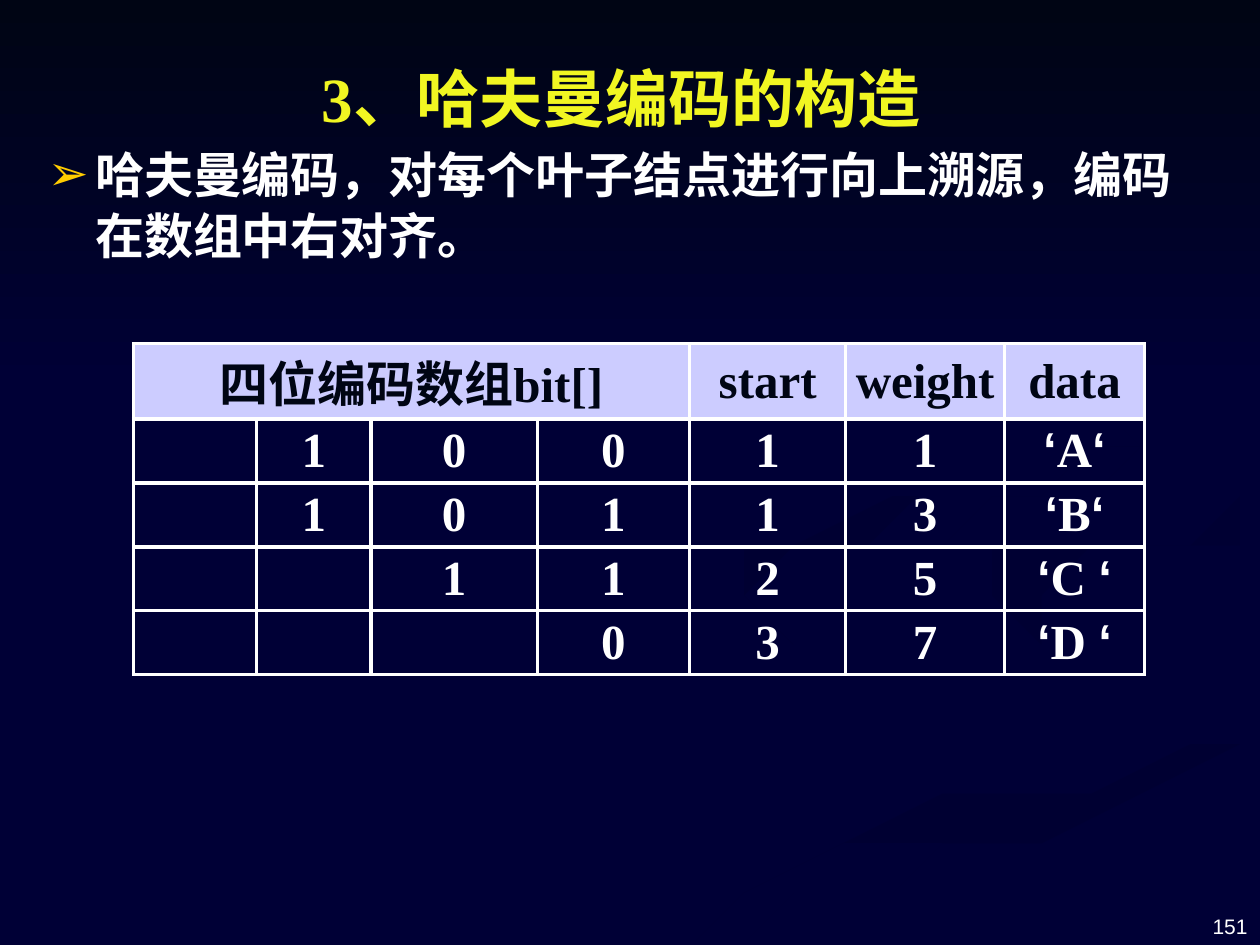
"""Build the slide on constructing Huffman codes."""
from lxml import etree
from pptx import Presentation
from pptx.dml.color import RGBColor
from pptx.enum.shapes import MSO_SHAPE
from pptx.enum.text import MSO_ANCHOR, PP_ALIGN
from pptx.oxml.ns import qn
from pptx.util import Cm, Pt

RECTANGLE = MSO_SHAPE.RECTANGLE
TOP, MIDDLE, BOTTOM = MSO_ANCHOR.TOP, MSO_ANCHOR.MIDDLE, MSO_ANCHOR.BOTTOM
LEFT, CENTER, RIGHT = PP_ALIGN.LEFT, PP_ALIGN.CENTER, PP_ALIGN.RIGHT

NAVY = RGBColor(0x00, 0x00, 0x36)
NAVY_DEEP = RGBColor(0x00, 0x00, 0x32)
NAVY_DARK = RGBColor(0x00, 0x00, 0x33)
NAVY_SOFT = RGBColor(0x00, 0x00, 0x34)
INK = RGBColor(0x00, 0x05, 0x14)
WHITE = RGBColor(0xFF, 0xFF, 0xFF)
YELLOW = RGBColor(0xF1, 0xF6, 0x22)
GOLD = RGBColor(0xFF, 0xCC, 0x00)
LAVENDER = RGBColor(0xCC, 0xCC, 0xFF)

SERIF, SANS = "Times New Roman", "Arial"
QUOTE = "‘"

LEFT_SWIRL = [
    (19.84, 14.05), (18.92, 13.67), (17.32, 13.18), (16.3, 12.88), (15.6, 12.6),
    (15.09, 12.32), (14.71, 12.01), (14.6, 11.66), (14.48, 11.89), (14.63, 12.19),
    (15.06, 12.47), (16.03, 12.83), (17.25, 13.18), (18.49, 13.56), (19.35, 13.89),
    (19.84, 14.12), (19.96, 14.38), (19.81, 14.71), (19.28, 14.99), (18.47, 15.29),
    (17.37, 15.57), (15.65, 15.98), (13.69, 16.48), (11.63, 17.12), (9.55, 17.96),
    (7.62, 19.02), (9.17, 19.02), (10.95, 18.14), (12.67, 17.45), (14.33, 16.89),
    (15.82, 16.43), (17.17, 16.1), (18.31, 15.82), (19.2, 15.6), (19.81, 15.37),
    (20.09, 15.16), (20.24, 14.94), (20.32, 14.76), (20.19, 14.4), (19.96, 14.12)]
RIGHT_SWIRL = [
    (23.95, 14.48), (23.75, 14.15), (23.34, 13.89), (22.56, 13.59), (21.59, 13.31),
    (20.6, 13.08), (19.66, 12.78), (18.92, 12.45), (18.54, 12.17), (18.39, 11.79),
    (18.47, 12.17), (18.77, 12.55), (19.18, 12.83), (19.84, 13.16), (20.7, 13.46),
    (21.69, 13.69), (22.35, 13.94), (22.86, 14.15), (23.14, 14.4), (23.32, 14.76),
    (23.22, 14.96), (22.71, 15.37), (23.27, 15.16), (23.8, 14.88)]
LOWER_BAND = [
    (13.18, 18.97), (12.78, 19.02), (14.5, 19.02), (15.24, 18.62), (16.48, 18.03),
    (17.65, 17.58), (19.1, 17.07), (20.85, 16.54), (22.94, 16), (25.35, 15.47),
    (25.35, 14.76), (24.79, 14.99), (23.77, 15.29), (22.02, 15.75), (19.41, 16.43),
    (16.81, 17.3), (15.21, 17.93), (13.79, 18.62)]
EDGE_CURL = [
    (19.84, 11.68), (19.96, 12.04), (20.47, 12.37), (20.98, 12.6), (20.62, 12.37),
    (20.45, 12.09), (20.57, 11.84), (21.03, 11.51), (21.82, 11.25), (22.76, 11.05),
    (24.23, 10.82), (25.35, 10.67), (25.35, 10.21), (23.7, 10.54), (21.97, 10.77),
    (20.85, 11.02), (20.09, 11.35)]
UPPER_CURL = [
    (17.35, 10.92), (18.77, 10.69), (19.96, 10.46), (20.96, 10.21), (21.72, 9.93),
    (22.25, 9.6), (22.58, 9.19), (22.71, 8.74), (22.61, 8.23), (22.35, 7.8),
    (21.95, 7.39), (21.41, 6.98), (20.57, 6.5), (19.81, 6.12), (19.35, 5.92),
    (20.45, 6.45), (21.49, 7.09), (22.1, 7.59), (22.48, 8.13), (22.58, 8.51),
    (22.5, 8.84), (22.25, 9.14), (21.87, 9.4), (21.39, 9.6), (20.78, 9.8),
    (19.38, 10.11), (17.88, 10.39), (16.48, 10.67), (15.62, 10.9), (14.96, 11.2),
    (14.68, 11.58), (14.73, 12.04), (15.14, 12.4), (15.8, 12.7), (15.27, 12.32),
    (15.06, 11.94), (15.14, 11.71), (15.57, 11.38), (16.48, 11.07)]

HEADINGS = {0: "四位编码数组bit[]", 4: "start", 5: "weight", 6: "data"}
CODES = [
    ["", "1", "0", "0", "1", "1", "A"],
    ["", "1", "0", "1", "1", "3", "B"],
    ["", "", "1", "1", "2", "5", "C "],
    ["", "", "", "0", "3", "7", "D "]]
COLUMN_WIDTHS = [2.48, 2.31, 3.35, 3.07, 3.15, 3.2, 2.82]
HEADER_HEIGHT, CODE_HEIGHT = 1.52, 1.21


class SlideBuilder:
    """Hold the text style and the current slide."""

    def __init__(self, slide):
        self.slide = slide
        self.style = {"name": SERIF, "size": Pt(28), "bold": True}
        background = slide.background.fill
        background.solid()
        background.fore_color.rgb = NAVY

    def add_run(self, paragraph, text, color, **changes):
        run = paragraph.add_run()
        run.text = text
        for attribute, value in {**self.style, **changes}.items():
            setattr(run.font, attribute, value)
        run.font.color.rgb = color

    def shade(self, shape, colors, angle):
        shape.shadow.inherit = False
        shape.line.fill.background()
        shape.fill.gradient()
        shape.fill.gradient_angle = -angle % 360
        for stop, color in zip(shape.fill.gradient_stops, colors):
            stop.color.rgb = color

    def swoosh(self, points, colors, angle):
        outline = self.slide.shapes.build_freeform(*points[0], scale=Cm(1))
        outline.add_line_segments(points[1:], close=True)
        self.shade(outline.convert_to_shape(), colors, angle)

    def band(self, box, colors, angle):
        self.shade(self.slide.shapes.add_shape(RECTANGLE, *map(Cm, box)), colors, angle)

    def title(self, box, text, color, size):
        heading = self.slide.shapes.title
        self.slide.shapes._spTree.append(heading._element)
        for attribute, value in zip(("left", "top", "width", "height"), box):
            setattr(heading, attribute, Cm(value))
        heading.text_frame.vertical_anchor = MIDDLE
        paragraph = heading.text_frame.paragraphs[0]
        paragraph.alignment = CENTER
        self.add_run(paragraph, text, color, size=size)

    def text(self, box, text, color, align=LEFT, anchor=TOP, **changes):
        frame = self.slide.shapes.add_textbox(*map(Cm, box)).text_frame
        frame.word_wrap = True
        frame.vertical_anchor = anchor
        paragraph = frame.paragraphs[0]
        paragraph.alignment = align
        self.add_run(paragraph, text, color, **changes)
        return paragraph

    def bullet(self, box, text, color, mark, mark_color):
        paragraph = self.text(box, text, color)
        paragraph.line_spacing = 1.05
        properties = paragraph._p.get_or_add_pPr()
        properties.set("marL", str(Cm(0.96)))
        properties.set("indent", str(-Cm(0.96)))
        tint = etree.SubElement(properties, qn("a:buClr"))
        etree.SubElement(tint, qn("a:srgbClr"), val=str(mark_color))
        etree.SubElement(properties, qn("a:buFont"), typeface=SANS)
        etree.SubElement(properties, qn("a:buChar"), char=mark)

    def cell(self, cell, runs, color, fill=None):
        for attribute, value in {
                "vertical_anchor": MIDDLE, "margin_left": Cm(0.15), "margin_right": Cm(0.15),
                "margin_top": Cm(0.05), "margin_bottom": Cm(0.05)}.items():
            setattr(cell, attribute, value)
        properties = cell._tc.get_or_add_tcPr()
        for side in ("a:lnL", "a:lnR", "a:lnT", "a:lnB"):
            border = etree.SubElement(properties, qn(side), w=str(Pt(2.25)))
            paint = etree.SubElement(border, qn("a:solidFill"))
            etree.SubElement(paint, qn("a:srgbClr"), val=str(WHITE))
        if fill is None:
            cell.fill.background()
        else:
            cell.fill.solid()
            cell.fill.fore_color.rgb = fill
        paragraph = cell.text_frame.paragraphs[0]
        paragraph.alignment = CENTER
        for text, font in runs:
            self.add_run(paragraph, text, color, name=font)

    def code_table(self, left, top):
        height = HEADER_HEIGHT + CODE_HEIGHT * len(CODES)
        table = self.slide.shapes.add_table(
            len(CODES) + 1, len(COLUMN_WIDTHS),
            *map(Cm, (left, top, sum(COLUMN_WIDTHS), height))).table
        table.first_row = table.horz_banding = False
        for column, width in zip(table.columns, COLUMN_WIDTHS):
            column.width = Cm(width)
        for index, row in enumerate(table.rows):
            row.height = Cm(CODE_HEIGHT if index else HEADER_HEIGHT)
        table.cell(0, 0).merge(table.cell(0, 3))
        for column in range(len(COLUMN_WIDTHS)):
            heading = HEADINGS.get(column)
            self.cell(table.cell(0, column), [(heading, SERIF)] if heading else [], INK, LAVENDER)
        for row, values in enumerate(CODES, 1):
            for column, value in enumerate(values):
                runs = [(value, SERIF)] if value else []
                if column == len(values) - 1:
                    runs = [(QUOTE, SANS), *runs, (QUOTE, SANS)]
                self.cell(table.cell(row, column), runs, WHITE)


def main():
    deck = Presentation()
    deck.slide_width, deck.slide_height = Cm(25.4), Cm(19.05)
    builder = SlideBuilder(deck.slides.add_slide(deck.slide_layouts[5]))
    for points, colors, angle in [
            (LEFT_SWIRL, (NAVY, NAVY_SOFT), 0),
            (RIGHT_SWIRL, (NAVY, NAVY_SOFT), 45),
            (LOWER_BAND, (NAVY_DEEP, NAVY), 90),
            (EDGE_CURL, (NAVY_DARK, NAVY), 45),
            (UPPER_CURL, (NAVY_DEEP, NAVY), 45)]:
        builder.swoosh(points, colors, angle)
    builder.band((0, 0, 25.4, 7.82), (INK, NAVY), 90)
    builder.text((19.48, 17.73, 5.92, 1.32), "151", WHITE, RIGHT, BOTTOM,
                 name=SANS, size=Pt(12), bold=False)
    builder.title((1.09, 0.61, 22.86, 2.72), "3、哈夫曼编码的构造", YELLOW, Pt(36))
    builder.bullet((0.71, 2.72, 24.1, 2.79),
                   "哈夫曼编码，对每个叶子结点进行向上溯源，编码在数组中右对齐。", WHITE, "➢", GOLD)
    builder.code_table(2.69, 6.93)
    deck.save("out.pptx")


if __name__ == "__main__":
    main()
